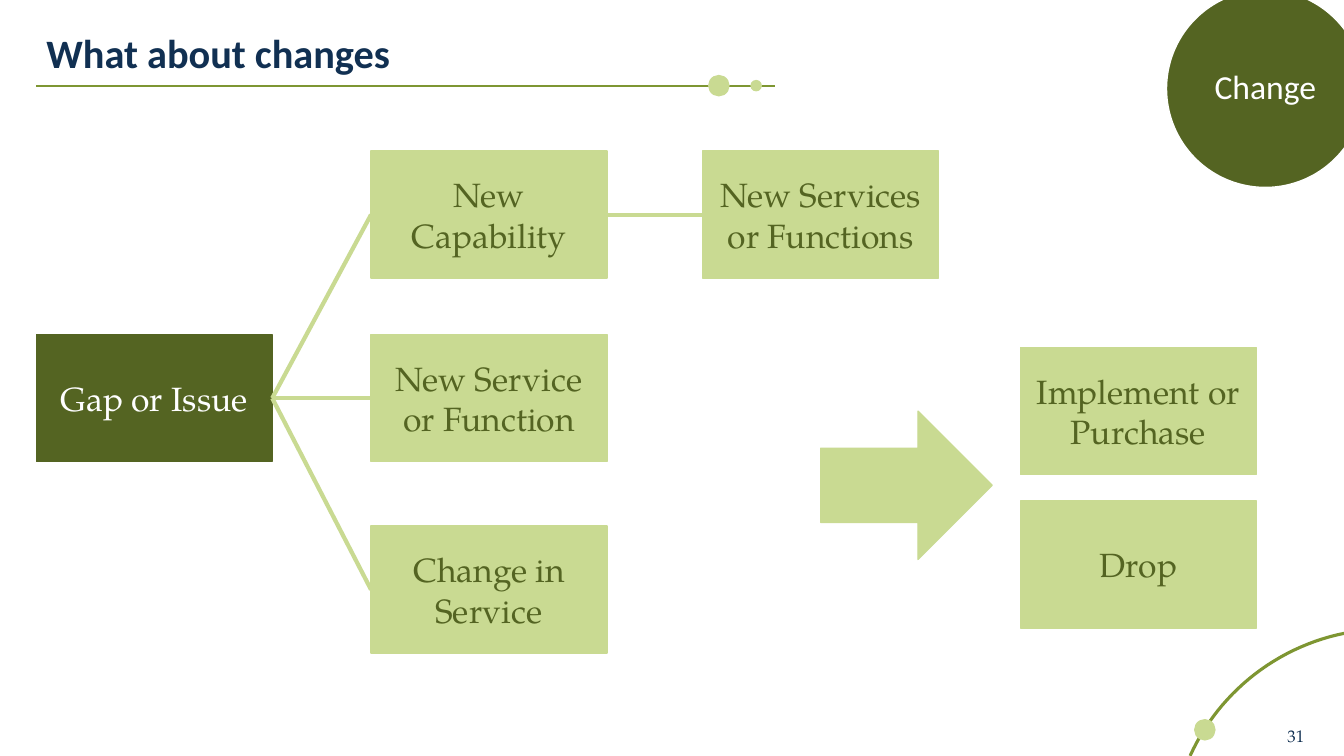
"""Build the slide that traces a gap or issue to the changes it leads to."""
from math import cos, radians, sin

from pptx import Presentation
from pptx.dml.color import RGBColor
from pptx.enum.shapes import MSO_CONNECTOR, MSO_SHAPE
from pptx.enum.text import MSO_ANCHOR, MSO_AUTO_SIZE, PP_ALIGN
from pptx.oxml.ns import qn
from pptx.util import Inches, Pt

COLORS = {name: RGBColor.from_string(value) for name, value in {
    "navy": "113052", "dark": "546422", "olive": "7E9632",
    "light": "C9DA92", "white": "FFFFFF"}.items()}
SERIF, SANS = "TeX Gyre Pagella", "Calibri"
BOX_WIDTH, BOX_HEIGHT = 2.34, 1.26
COLUMNS = [0.36, 3.68, 6.97, 10.12]
ROWS = {"top": 1.5, "middle": 3.32, "bottom": 5.22, "implement": 3.45, "drop": 4.97}

deck = Presentation()
deck.slide_width, deck.slide_height = Inches(13.33), Inches(7.5)
page = deck.slides.add_slide(deck.slide_layouts[5])


def add_figure(kind, left, top, width, height, fill, line=None, text="", ink="dark", font=SERIF):
    figure = page.shapes.add_shape(kind, Inches(left), Inches(top), Inches(width), Inches(height))
    figure.shadow.inherit = False
    figure.fill.solid()
    figure.fill.fore_color.rgb = COLORS[fill]
    figure.line.color.rgb = COLORS[line or fill]
    figure.line.width = Pt(1)
    if text:
        frame = figure.text_frame
        frame.word_wrap = True
        frame.vertical_anchor = MSO_ANCHOR.MIDDLE
        para = frame.paragraphs[0]
        para.text = text
        para.alignment = PP_ALIGN.CENTER
        para.font.name, para.font.size = font, Pt(24)
        para.font.color.rgb = COLORS[ink]
    return figure


def add_line(start, end, color, weight):
    line = page.shapes.add_connector(
        MSO_CONNECTOR.STRAIGHT, *(Inches(value) for value in (*start, *end)))
    line.line.color.rgb = COLORS[color]
    line.line.width = Pt(weight)
    properties = line.element.find(qn("p:spPr"))
    properties.append(properties.makeelement(qn("a:effectLst"), {}))
    return line


add_line((0.36, 0.85), (7.69, 0.85), "olive", 1.5)

center_x, center_y, radius = 13.76, 8.39, 2.15
arc = [(Inches(center_x - radius * cos(radians(angle))),
        Inches(center_y - radius * sin(radians(angle))))
       for angle in (24.5 + 2 * step for step in range(28))]
builder = page.shapes.build_freeform(*arc[0])
builder.add_line_segments(arc[1:], close=False)
curve = builder.convert_to_shape()
curve.shadow.inherit = False
curve.fill.background()
curve.line.color.rgb = COLORS["olive"]
curve.line.width = Pt(2.25)

for left, top, size in [(7.03, 0.75, 0.2), (7.45, 0.8, 0.1), (11.85, 7.14, 0.2)]:
    add_figure(MSO_SHAPE.OVAL, left, top, size, size, "light")

title = page.shapes.title
title.left, title.top, title.width, title.height = map(Inches, (0.36, 0.3, 7.73, 0.5))
title.text_frame.auto_size = MSO_AUTO_SIZE.NONE
title.text_frame.vertical_anchor = MSO_ANCHOR.MIDDLE
heading = title.text_frame.paragraphs[0]
heading.text = "What about changes"
heading.alignment = PP_ALIGN.LEFT
heading.line_spacing = 0.9
heading.font.name, heading.font.size, heading.font.bold = SANS, Pt(28.8), True
heading.font.color.rgb = COLORS["navy"]

number = page.shapes.add_textbox(*map(Inches, (12.67, 7.1, 0.49, 0.4)))
number.text_frame.word_wrap = True
number.text_frame.vertical_anchor = MSO_ANCHOR.MIDDLE
para = number.text_frame.paragraphs[0]
para.text = "31"
para.font.name, para.font.size = SERIF, Pt(12)
para.font.color.rgb = COLORS["navy"]

badge = add_figure(MSO_SHAPE.OVAL, 11.57, -0.1, 1.96, 1.96, "dark", "white", "Change", "white", SANS)
badge.text_frame.margin_left = badge.text_frame.margin_right = Inches(0.03)
badge.text_frame.paragraphs[0].line_spacing = 0.9

boxes = {}
for text, column, row in [
        ("Gap or Issue", 0, "middle"),
        ("New Capability", 1, "top"),
        ("New Service or Function", 1, "middle"),
        ("Change in Service", 1, "bottom"),
        ("New Services or Functions", 2, "top"),
        ("Implement or Purchase", 3, "implement"),
        ("Drop", 3, "drop")]:
    fill, ink = ("dark", "white") if column == 0 else ("light", "dark")
    boxes[text] = add_figure(MSO_SHAPE.RECTANGLE, COLUMNS[column], ROWS[row],
                             BOX_WIDTH, BOX_HEIGHT, fill, text=text, ink=ink)

for source, target in [
        ("Gap or Issue", "New Capability"),
        ("Gap or Issue", "New Service or Function"),
        ("Gap or Issue", "Change in Service"),
        ("New Capability", "New Services or Functions")]:
    link = add_line((0, 0), (1, 1), "light", 3)
    link.begin_connect(boxes[source], 3)
    link.end_connect(boxes[target], 1)

add_figure(MSO_SHAPE.RIGHT_ARROW, 8.14, 4.08, 1.7, 1.47, "light")

deck.save("out.pptx")
